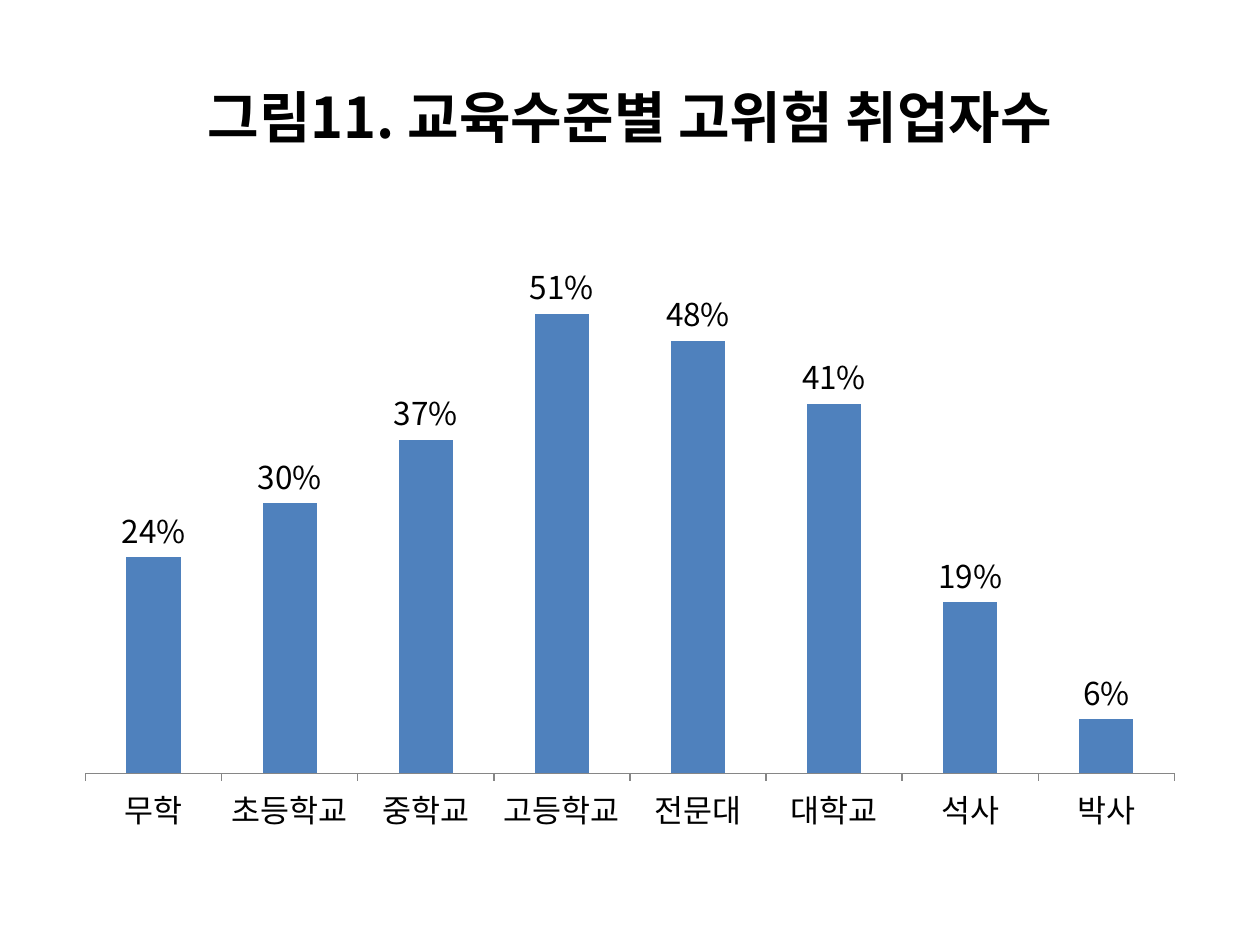
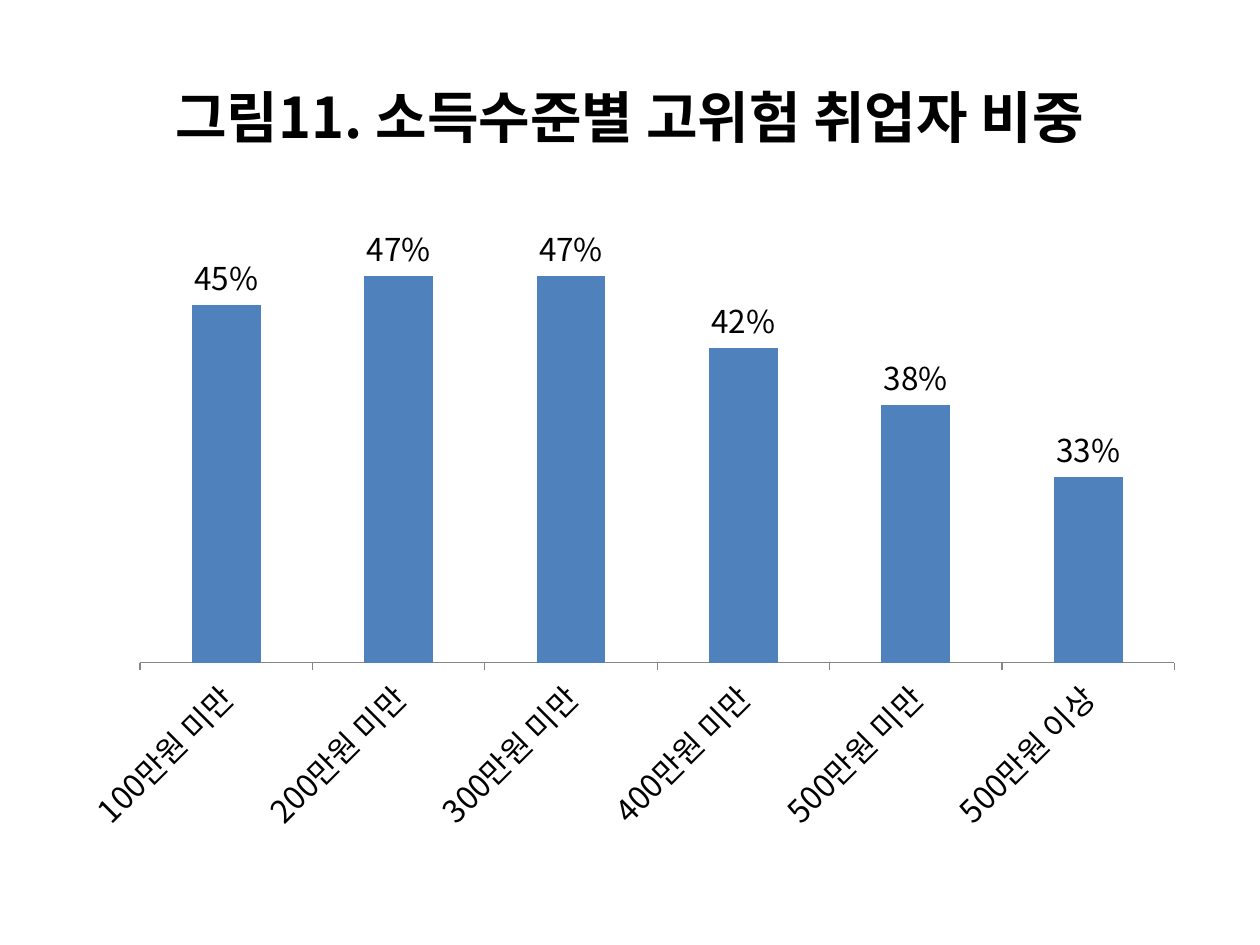
import lxml.etree
import pptx
import pptx.chart.data
import pptx.dml.color
import pptx.enum.chart
import pptx.enum.text
import pptx.oxml.ns
import pptx.util


def color(hex_string):
    return pptx.dml.color.RGBColor.from_string(hex_string)


class ChartDeck:
    """Build titled column-chart slides in one shared style."""

    font_name = "Noto Sans CJK KR"
    text_color = "000000"
    bar_color = "4F81BD"
    axis_color = "868686"
    left, width = pptx.util.Pt(36), pptx.util.Pt(648)

    def __init__(self):
        self.deck = pptx.Presentation()
        self.deck.slide_width = pptx.util.Pt(720)
        self.deck.slide_height = pptx.util.Pt(540)
        self.slide = None

    def style_font(self, font, size, bold=False):
        font.name = self.font_name
        font.size = pptx.util.Pt(size)
        font.bold = bold
        font.color.rgb = color(self.text_color)
        east_asian = lxml.etree.SubElement(font._element, pptx.oxml.ns.qn("a:ea"))
        east_asian.set("typeface", self.font_name)

    def add_slide(self, title):
        self.slide = self.deck.slides.add_slide(self.deck.slide_layouts[5])
        box = self.slide.shapes.title
        box.left, box.width = self.left, self.width
        box.top, box.height = pptx.util.Pt(21.6), pptx.util.Pt(90)
        frame = box.text_frame
        frame.text = title
        frame.word_wrap = True
        frame.auto_size = pptx.enum.text.MSO_AUTO_SIZE.NONE
        frame.vertical_anchor = pptx.enum.text.MSO_ANCHOR.MIDDLE
        paragraph = frame.paragraphs[0]
        paragraph.alignment = pptx.enum.text.PP_ALIGN.CENTER
        self.style_font(paragraph.font, 32, bold=True)

    def add_columns(self, shares, minimum, maximum, label_angle=0):
        data = pptx.chart.data.CategoryChartData(number_format="0%")
        data.categories = [category for category, share in shares]
        data.add_series("Series 1", [share for category, share in shares])
        chart = self.slide.shapes.add_chart(
            pptx.enum.chart.XL_CHART_TYPE.COLUMN_CLUSTERED,
            self.left, pptx.util.Pt(126), self.width, pptx.util.Pt(356.4), data,
        ).chart
        chart.has_title = False
        chart.has_legend = False
        self.style_font(chart.font, 18)
        self.style_bars(chart.plots[0])
        self.style_axes(chart, minimum, maximum, label_angle)

    def style_bars(self, plot):
        plot.gap_width = 150
        plot.vary_by_categories = False
        fill = plot.series[0].format.fill
        fill.solid()
        fill.fore_color.rgb = color(self.bar_color)
        plot.has_data_labels = True
        labels = plot.data_labels
        labels.show_value = True
        labels.number_format = "0%"
        labels.number_format_is_linked = False
        labels.position = pptx.enum.chart.XL_LABEL_POSITION.OUTSIDE_END
        self.style_font(labels.font, 18)

    def style_axes(self, chart, minimum, maximum, label_angle):
        values = chart.value_axis
        values.visible = False
        values.has_major_gridlines = False
        values.minimum_scale = minimum
        values.maximum_scale = maximum
        categories = chart.category_axis
        categories.major_tick_mark = pptx.enum.chart.XL_TICK_MARK.OUTSIDE
        categories.format.line.color.rgb = color(self.axis_color)
        categories.format.line.width = pptx.util.Pt(0.75)
        self.style_font(categories.tick_labels.font, 18)
        if label_angle:
            body = categories._element.find(".//" + pptx.oxml.ns.qn("a:bodyPr"))
            body.set("rot", str(label_angle * 60000))
            body.set("vert", "horz")


def main():
    builder = ChartDeck()
    builder.add_slide("그림11. 교육수준별 고위험 취업자수")
    education = [
        ("무학", 0.24), ("초등학교", 0.3), ("중학교", 0.37), ("고등학교", 0.51),
        ("전문대", 0.48), ("대학교", 0.41), ("석사", 0.19), ("박사", 0.06),
    ]
    builder.add_columns(education, 0, 0.6)

    builder.add_slide("그림11. 소득수준별 고위험 취업자 비중")
    income = [
        ("100만원 미만", 0.45), ("200만원 미만", 0.47), ("300만원 미만", 0.47),
        ("400만원 미만", 0.42), ("500만원 미만", 0.38), ("500만원 이상", 0.33),
    ]
    builder.add_columns(income, 0.2, 0.5, label_angle=-45)
    builder.deck.save("out.pptx")


if __name__ == "__main__":
    main()
